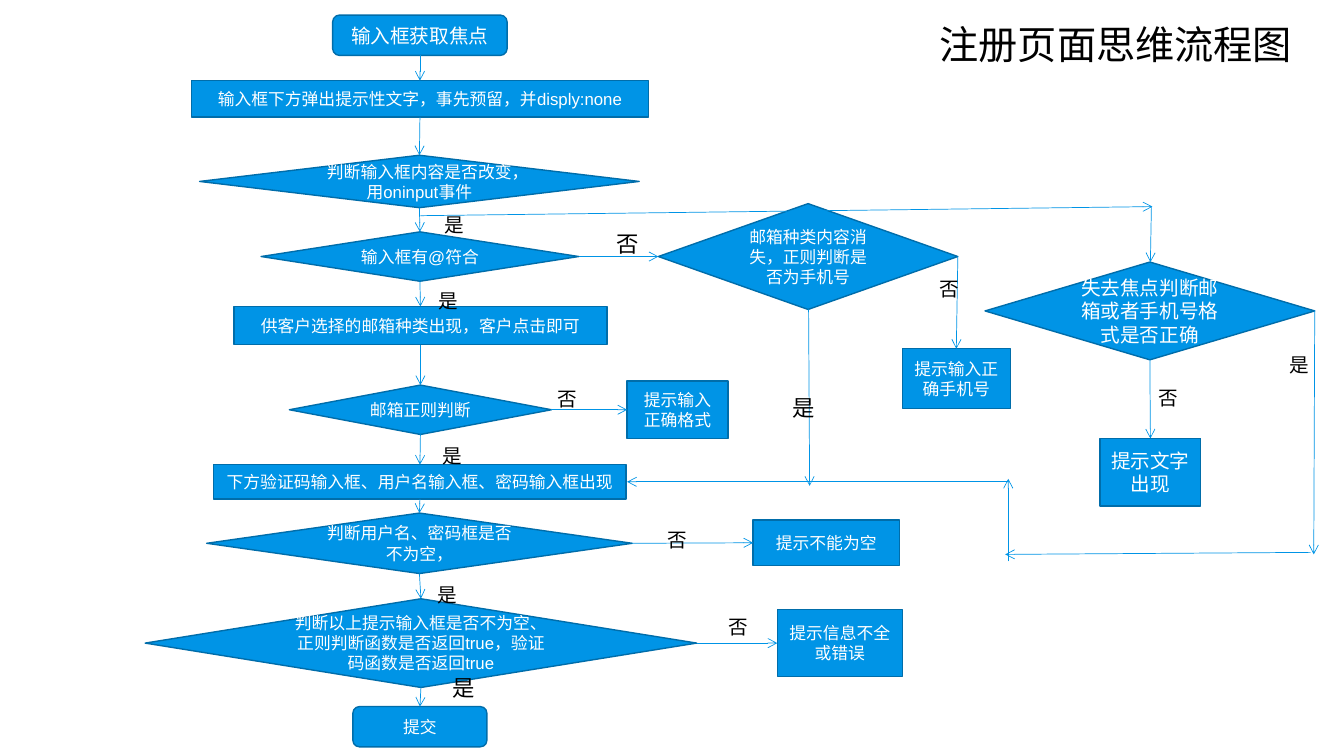
from itertools import pairwise

from lxml.etree import SubElement
from pptx import Presentation
from pptx.dml.color import RGBColor
from pptx.enum.shapes import MSO_CONNECTOR, MSO_SHAPE
from pptx.enum.text import MSO_ANCHOR, MSO_AUTO_SIZE, PP_ALIGN
from pptx.oxml.ns import qn
from pptx.util import Inches, Pt

TERMINAL = MSO_SHAPE.FLOWCHART_ALTERNATE_PROCESS
PROCESS = MSO_SHAPE.FLOWCHART_PROCESS
DECISION = MSO_SHAPE.FLOWCHART_DECISION
TOP, LEFT, BOTTOM, RIGHT = range(4)
BLUE, DARK_BLUE, WHITE, BLACK = "0094E6", "006DAA", "FFFFFF", "000000"

MAIN_STEPS = [
    (TERMINAL, "输入框获取焦点", (3.3, 0.15, 1.73, 0.4), 14),
    (PROCESS, "输入框下方弹出提示性文字，事先预留，并disply:none", (1.9, 0.8, 4.53, 0.36), 12),
    (DECISION, "判断输入框内容是否改变，用oninput事件", (1.98, 1.54, 4.36, 0.52), 12),
    (DECISION, "输入框有@符合", (2.59, 2.3, 3.15, 0.49), 12),
    (PROCESS, "供客户选择的邮箱种类出现，客户点击即可", (2.32, 3.04, 3.7, 0.38), 12),
    (DECISION, "邮箱正则判断", (2.87, 3.82, 2.6, 0.49), 12),
    (PROCESS, "下方验证码输入框、用户名输入框、密码输入框出现", (2.12, 4.61, 4.09, 0.34), 12),
    (DECISION, "判断用户名、密码框是否不为空，", (2.05, 5.09, 4.22, 0.6), 12),
    (DECISION, "判断以上提示输入框是否不为空、正则判断函数是否返回true，验证码函数是否返回true",
     (1.44, 5.94, 5.47, 0.88), 12),
    (TERMINAL, "提交", (3.5, 7.01, 1.33, 0.4), 12),
]
FREE_ARROWS = [
    ((8.02, 3.07), (8.03, 4.82)),
    ((4.17, 2.14), (11.43, 2.05)),
    ((11.42, 2.05), (11.41, 2.6)),
    ((13.04, 3.08), (13.03, 5.5)),
    ((13, 5.48), (9.97, 5.5)),
    ((10, 5.57), (10, 4.75)),
    ((10, 4.78), (6.22, 4.78)),
]
ACROSS_LABELS = [
    ("否", (6.02, 2.23, 0.51, 0.37), 16),
    ("是", (4.39, 6.64, 0.52, 0.37), 16),
    ("否", (9.22, 2.7, 0.53, 0.34), 14),
    ("否", (5.43, 3.79, 0.72, 0.34), 14),
    ("否", (6.52, 5.19, 0.65, 0.34), 14),
    ("是", (12.69, 3.45, 0.45, 0.34), 14),
    ("否", (7.13, 6.05, 0.39, 0.34), 14),
]
UPRIGHT_LABELS = [
    ("是", (7.68, 3.84, 0.47, 0.45), 16),
    ("是", (4.23, 2.04, 0.44, 0.28), 14),
    ("是", (4.17, 2.79, 0.44, 0.25), 14),
    ("是", (4.21, 4.33, 0.44, 0.27), 14),
    ("是", (4.16, 5.71, 0.44, 0.23), 14),
    ("否", (11.31, 3.75, 0.44, 0.6), 14),
]


def rgb(value):
    return RGBColor.from_string(value)


def inches(lengths):
    return [Inches(length) for length in lengths]


def write(frame, text, size, color, align):
    frame.text = text
    frame.word_wrap = True
    paragraph = frame.paragraphs[0]
    paragraph.alignment = align
    font = paragraph.runs[0].font
    font.name, font.size = "Arial", Pt(size)
    font.color.rgb = rgb(color)


def add_title(slide, text, box):
    title = slide.shapes.title
    title.left, title.top, title.width, title.height = inches(box)
    write(title.text_frame, text, 28, BLACK, PP_ALIGN.LEFT)
    title.text_frame.vertical_anchor = MSO_ANCHOR.TOP
    title.text_frame.auto_size = MSO_AUTO_SIZE.NONE


def add_step(slide, kind, text, box, size=12):
    step = slide.shapes.add_shape(kind, *inches(box))
    step.shadow.inherit = False
    step.fill.solid()
    step.fill.fore_color.rgb = rgb(BLUE)
    step.line.color.rgb = rgb(DARK_BLUE)
    step.line.width = Pt(1)
    write(step.text_frame, text, size, WHITE, PP_ALIGN.CENTER)
    step.text_frame.vertical_anchor = MSO_ANCHOR.MIDDLE
    return step


def add_arrow(slide, start=(0, 0), end=(0, 0)):
    arrow = slide.shapes.add_connector(MSO_CONNECTOR.STRAIGHT, *inches(start + end))
    arrow.line.color.rgb = rgb(BLUE)
    arrow.line.width = Pt(0.5)
    SubElement(arrow.line._get_or_add_ln(), qn("a:tailEnd"), type="arrow")
    SubElement(arrow._element.spPr, qn("a:effectLst"))
    return arrow


def link(slide, source, source_side, target, target_side):
    arrow = add_arrow(slide)
    arrow.begin_connect(source, source_side)
    arrow.end_connect(target, target_side)


def add_label(slide, text, box, size, upright=False):
    label = slide.shapes.add_textbox(*inches(box))
    write(label.text_frame, text, size, BLACK, PP_ALIGN.LEFT)
    if upright:
        label.text_frame._txBody.bodyPr.set("vert", "eaVert")


def main():
    deck = Presentation()
    deck.slide_width, deck.slide_height = Inches(13.33), Inches(7.5)
    slide = deck.slides.add_slide(deck.slide_layouts[5])
    add_title(slide, "注册页面思维流程图", (9.22, 0.15, 3.78, 0.57))

    steps = [add_step(slide, *step) for step in MAIN_STEPS]
    has_at, email_check, fields_check, final_check = (steps[i] for i in (3, 5, 7, 8))
    phone_check = add_step(slide, DECISION, "邮箱种类内容消失，正则判断是否为手机号",
                           (6.53, 2.02, 2.97, 1.05))
    blur_check = add_step(slide, DECISION, "失去焦点判断邮箱或者手机号格式是否正确",
                          (9.77, 2.6, 3.27, 0.97), 14)
    email_hint = add_step(slide, PROCESS, "提示输入正确格式", (6.22, 3.78, 1, 0.57))
    phone_hint = add_step(slide, PROCESS, "提示输入正确手机号", (8.95, 3.46, 1.07, 0.59))
    empty_hint = add_step(slide, PROCESS, "提示不能为空", (7.47, 5.16, 1.45, 0.45))
    error_hint = add_step(slide, PROCESS, "提示信息不全或错误", (7.71, 6.05, 1.24, 0.66))
    blur_hint = add_step(slide, PROCESS, "提示文字出现", (10.91, 4.35, 1, 0.67), 14)

    for source, target in pairwise(steps):
        link(slide, source, BOTTOM, target, TOP)
    for source, target in [(has_at, phone_check), (email_check, email_hint),
                           (fields_check, empty_hint), (final_check, error_hint)]:
        link(slide, source, RIGHT, target, LEFT)
    link(slide, phone_check, RIGHT, phone_hint, TOP)
    link(slide, blur_check, BOTTOM, blur_hint, TOP)
    for start, end in FREE_ARROWS:
        add_arrow(slide, start, end)

    for label in ACROSS_LABELS:
        add_label(slide, *label)
    for label in UPRIGHT_LABELS:
        add_label(slide, *label, upright=True)
    deck.save("out.pptx")


if __name__ == "__main__":
    main()
